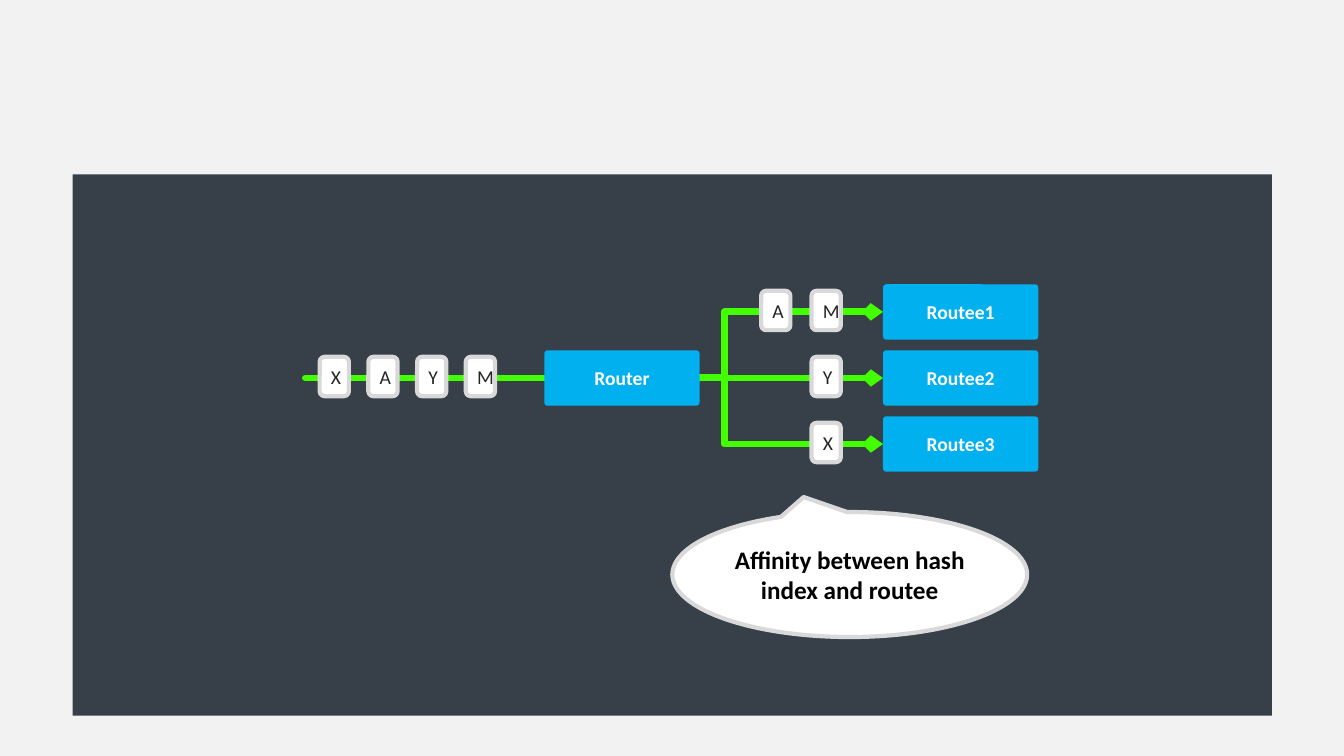
from dataclasses import dataclass

from lxml.etree import SubElement
from pptx import Presentation
from pptx.dml.color import RGBColor
from pptx.enum.shapes import MSO_CONNECTOR as LINE, MSO_SHAPE as SHAPE
from pptx.enum.text import MSO_ANCHOR, PP_ALIGN
from pptx.oxml.ns import qn
from pptx.util import Inches, Pt


@dataclass(frozen=True)
class Theme:
    font: str = "Calibri"
    background: str = "F2F2F2"
    panel: str = "373F48"
    flow: str = "42FF02"
    node: str = "00B0EF"
    white: str = "FFFFFF"
    border: str = "D9D9D9"
    letter: str = "262626"
    black: str = "000000"
    label_size: int = 14
    callout_size: int = 18
    flow_width: int = 5
    border_width: int = 3


class Canvas:
    """Draws on one slide, measured in a grid of 40 columns by 30 rows."""

    COLS, ROWS = 40, 30

    def __init__(self, prs, theme):
        self.prs, self.theme = prs, theme
        self.s = prs.slides.add_slide(prs.slide_layouts[6])
        fill = self.s.background.fill
        fill.solid()
        fill.fore_color.rgb = RGBColor.from_string(theme.background)

    def x(self, cols):
        return round(self.prs.slide_width * cols / self.COLS)

    def y(self, rows):
        return round(self.prs.slide_height * rows / self.ROWS)

    def shape(self, kind, left, top, width, height, fill, border=None, adj=()):
        sp = self.s.shapes.add_shape(
            kind, self.x(left), self.y(top), self.x(width), self.y(height))
        sp.shadow.inherit = False
        sp.fill.solid()
        sp.fill.fore_color.rgb = RGBColor.from_string(fill)
        if border:
            sp.line.color.rgb = RGBColor.from_string(border)
            sp.line.width = Pt(self.theme.border_width)
        else:
            sp.line.fill.background()
        for i, value in enumerate(adj):
            sp.adjustments[i] = value
        return sp

    def text(self, sp, words, size, color, bold=False):
        tf = sp.text_frame
        tf.word_wrap = True
        tf.vertical_anchor = MSO_ANCHOR.MIDDLE
        p = tf.paragraphs[0]
        p.alignment = PP_ALIGN.CENTER
        r = p.add_run()
        r.text = words
        r.font.name, r.font.size, r.font.bold = self.theme.font, Pt(size), bold
        r.font.color.rgb = RGBColor.from_string(color)

    def node(self, left, middle, name):
        t = self.theme
        sp = self.shape(SHAPE.ROUNDED_RECTANGLE, left, middle - NODE_H / 2,
                        NODE_W, NODE_H, t.node, adj=[0.06])
        self.text(sp, name, t.label_size, t.white, bold=True)

    def message(self, center, middle, letter):
        t = self.theme
        sp = self.shape(SHAPE.ROUNDED_RECTANGLE, center - MESSAGE_W / 2,
                        middle - MESSAGE_H / 2, MESSAGE_W, MESSAGE_H,
                        t.white, t.border)
        self.text(sp, letter, t.label_size, t.letter)

    def callout(self, left, top, width, height, words, tip):
        t = self.theme
        sp = self.shape(SHAPE.OVAL_CALLOUT, left, top, width, height,
                        t.white, t.border, tip)
        self.text(sp, words, t.callout_size, t.black, bold=True)

    def flow(self, x1, y1, x2, y2, arrow=False, bend=None):
        kind = LINE.STRAIGHT if bend is None else LINE.ELBOW
        cx = self.s.shapes.add_connector(
            kind, self.x(x1), self.y(y1), self.x(x2), self.y(y2))
        cx.line.color.rgb = RGBColor.from_string(self.theme.flow)
        cx.line.width = Pt(self.theme.flow_width)
        pr = cx._element.spPr
        ln = pr.find(qn("a:ln"))
        ln.set("cap", "rnd")
        SubElement(ln, qn("a:round"))
        if arrow:
            SubElement(ln, qn("a:tailEnd"), type="arrow", w="sm", len="sm")
        if bend is not None:
            guides = pr.find(qn("a:prstGeom")).get_or_add_avLst()
            SubElement(guides, qn("a:gd"), name="adj1",
                       fmla=f"val {round(bend * 100000)}")
        SubElement(pr, qn("a:effectLst"))


# Grid measures, in columns and rows
NODE_W, NODE_H = 4.62, 2.2
MESSAGE_W, MESSAGE_H = 0.87, 1.56
ROUTER_X, ROUTEE_X = 16.2, 26.28
ROUTER_END = ROUTER_X + NODE_W
MIDDLE, LANE_STEP = 15, 2.62
QUEUE_START, QUEUE_X, QUEUE_STEP = 9.09, 9.95, 1.45
SORTED_X, SORTED_STEP = 24.59, 1.5
MESSAGE_LIFT = 0.06

QUEUE = "XAYM"
ROUTEES = [("Routee1", "MA"), ("Routee2", "Y"), ("Routee3", "X")]


def main():
    prs = Presentation()
    prs.slide_width, prs.slide_height = Inches(13.33), Inches(7.5)
    theme = Theme()
    c = Canvas(prs, theme)
    c.shape(SHAPE.RECTANGLE, 2.16, 6.92, 35.7, 21.48, theme.panel)

    # Flow lines: one in, one to each routee
    lanes = [MIDDLE + (i - 1) * LANE_STEP for i in range(len(ROUTEES))]
    c.flow(QUEUE_START, MIDDLE, ROUTER_X, MIDDLE)
    for lane in lanes:
        c.flow(ROUTER_END, MIDDLE, ROUTEE_X, lane, arrow=True,
               bend=None if lane == MIDDLE else 0.135)

    # Incoming messages and router
    for i, letter in enumerate(QUEUE):
        c.message(QUEUE_X + i * QUEUE_STEP, MIDDLE - MESSAGE_LIFT, letter)
    c.node(ROUTER_X, MIDDLE, "Router")

    # Routees with their sorted messages, nearest first
    for lane, (name, letters) in zip(lanes, ROUTEES):
        for i, letter in enumerate(letters):
            c.message(SORTED_X - i * SORTED_STEP, lane - MESSAGE_LIFT, letter)
        c.node(ROUTEE_X, lane, name)

    # Explanation
    c.callout(20.01, 20.32, 10.56, 4.96,
              "Affinity between hash index and routee", [-0.13, -0.62])
    prs.save("out.pptx")


if __name__ == "__main__":
    main()
